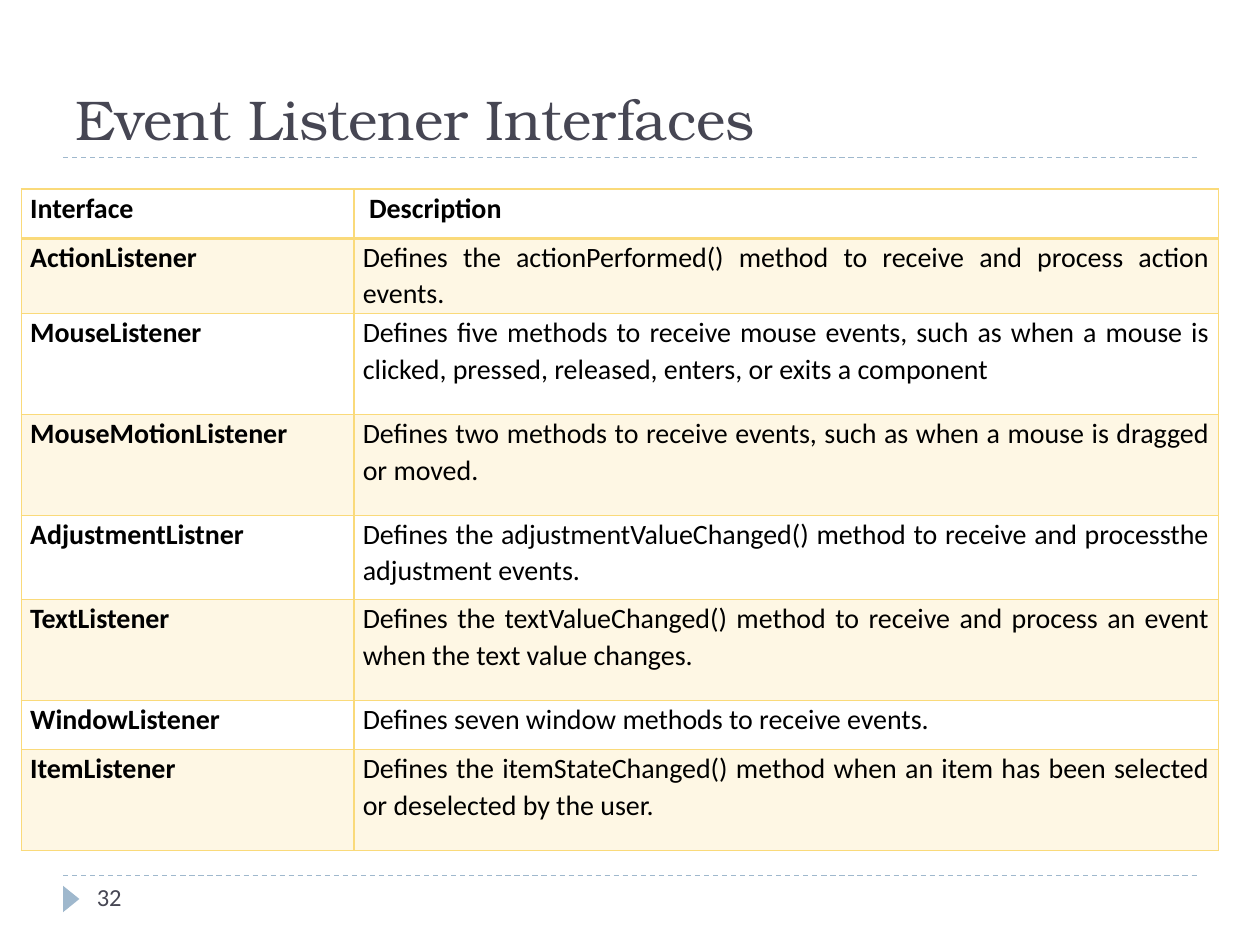
from lxml import etree
from pptx import Presentation
from pptx.dml.color import RGBColor
from pptx.enum.dml import MSO_LINE
from pptx.enum.shapes import MSO_CONNECTOR, MSO_SHAPE
from pptx.enum.text import MSO_ANCHOR, PP_ALIGN
from pptx.oxml.ns import qn
from pptx.util import Inches, Pt

STRAIGHT = MSO_CONNECTOR.STRAIGHT
TRIANGLE = MSO_SHAPE.ISOSCELES_TRIANGLE
DASH = MSO_LINE.DASH
TOP, BOTTOM = MSO_ANCHOR.TOP, MSO_ANCHOR.BOTTOM
JUSTIFY = PP_ALIGN.JUSTIFY

SLATE = RGBColor(0x46, 0x46, 0x53)
BLUE = RGBColor(0x9F, 0xB8, 0xCD)
YELLOW = RGBColor(0xFA, 0xDA, 0x7A)
BLACK = RGBColor(0, 0, 0)

HEADINGS = ("Interface", "Description")
LISTENERS = [
    ("ActionListener", "Defines the actionPerformed() method to receive and process action events."),
    ("MouseListener", "Defines five methods to receive mouse events, such as when a mouse is "
                      "clicked, pressed, released, enters, or exits a component"),
    ("MouseMotionListener", "Defines two methods to receive events, such as when a mouse is "
                            "dragged or moved."),
    ("AdjustmentListner", "Defines the adjustmentValueChanged() method to receive and "
                          "processthe adjustment events."),
    ("TextListener", "Defines the textValueChanged() method to receive and process an event "
                     "when the text value changes."),
    ("WindowListener", "Defines seven window methods to receive events."),
    ("ItemListener", "Defines the itemStateChanged() method when an item has been selected "
                     "or deselected by the user."),
]
COLUMN_WIDTHS = (2.64, 6.86)
ROW_HEIGHTS = (0.39, 0.6, 0.8, 0.8, 0.67, 0.8, 0.39, 0.8)


def write_text(frame, text, size, font="Calibri", color=SLATE, bold=False,
               align=None, line_spacing=None):
    para = frame.paragraphs[0]
    para.alignment = align
    para.line_spacing = line_spacing
    span = para.add_run()
    span.text = text
    span.font.name = font
    span.font.size = Pt(size)
    span.font.bold = bold
    span.font.color.rgb = color


def add_text(page, text, left, top, width, height, anchor=TOP, **style):
    box = page.shapes.add_textbox(Inches(left), Inches(top), Inches(width), Inches(height))
    box.text_frame.word_wrap = True
    box.text_frame.vertical_anchor = anchor
    write_text(box.text_frame, text, **style)


def add_rule(page, left, top, width):
    rule = page.shapes.add_connector(STRAIGHT, Inches(left), Inches(top),
                                     Inches(left + width), Inches(top))
    rule.line.color.rgb = BLUE
    rule.line.width = Pt(0.75)
    rule.line.dash_style = DASH
    etree.SubElement(rule._element.spPr, qn("a:effectLst"))


def add_title(page, left, top, width, height):
    add_rule(page, left, top + height, width)
    add_text(page, "Event Listener Interfaces", left, top, width, height,
             anchor=BOTTOM, size=32, font="TeX Gyre Bonum")


def add_footer(page, left, top, width):
    add_rule(page, left, top, width)
    marker = page.shapes.add_shape(TRIANGLE, Inches(left - 0.04), Inches(top + 0.12),
                                   Inches(0.21), Inches(0.13))
    marker.rotation = 90
    marker.shadow.inherit = False
    marker.fill.solid()
    marker.fill.fore_color.rgb = BLUE
    marker.line.fill.background()
    add_text(page, "32", left + 0.17, top, 2.17, 0.4, size=14)


def set_borders(cell, **widths):
    """Draw yellow cell borders, with widths in points keyed L, R, T and B."""
    properties = cell._tc.get_or_add_tcPr()
    for position, (side, width) in enumerate(widths.items()):
        border = etree.Element(qn(f"a:ln{side}"), w=str(Pt(width)))
        fill = etree.SubElement(border, qn("a:solidFill"))
        etree.SubElement(fill, qn("a:srgbClr"), val=str(YELLOW))
        properties.insert(position, border)


def fill_band(cell):
    cell.fill.solid()
    cell.fill.fore_color.rgb = YELLOW
    color = cell._tc.tcPr.find(".//" + qn("a:srgbClr"))
    etree.SubElement(color, qn("a:alpha"), val="20000")


def add_listener_table(page, left, top):
    rows = [HEADINGS, *LISTENERS]
    frame = page.shapes.add_table(len(rows), len(HEADINGS), Inches(left), Inches(top),
                                  Inches(sum(COLUMN_WIDTHS)), Inches(sum(ROW_HEIGHTS)))
    table = frame.table
    table.first_row = table.horz_banding = False
    for column, width in zip(table.columns, COLUMN_WIDTHS):
        column.width = Inches(width)
    for row, height in zip(table.rows, ROW_HEIGHTS):
        row.height = Inches(height)

    for r, texts in enumerate(rows):
        for c, text in enumerate(texts):
            cell = table.cell(r, c)
            cell.margin_left = cell.margin_right = Inches(0.07)
            cell.margin_top = cell.margin_bottom = 0
            if r % 2:
                fill_band(cell)
            else:
                cell.fill.background()
            set_borders(cell, L=1, R=1, T=2 if r == 1 else 1, B=2 if r == 0 else 1)
            write_text(cell.text_frame, text, size=16, color=BLACK,
                       bold=r == 0 or c == 0, align=JUSTIFY, line_spacing=1.07)
    table.cell(0, 1).margin_left = Inches(0.12)


def main():
    deck = Presentation()
    deck.slide_width, deck.slide_height = Inches(10), Inches(7.5)
    page = deck.slides.add_slide(deck.slide_layouts[6])
    add_title(page, 0.5, 0.17, 9, 1.08)
    add_footer(page, 0.5, 6.95, 9)
    add_listener_table(page, 0.17, 1.5)
    deck.save("out.pptx")


if __name__ == "__main__":
    main()
